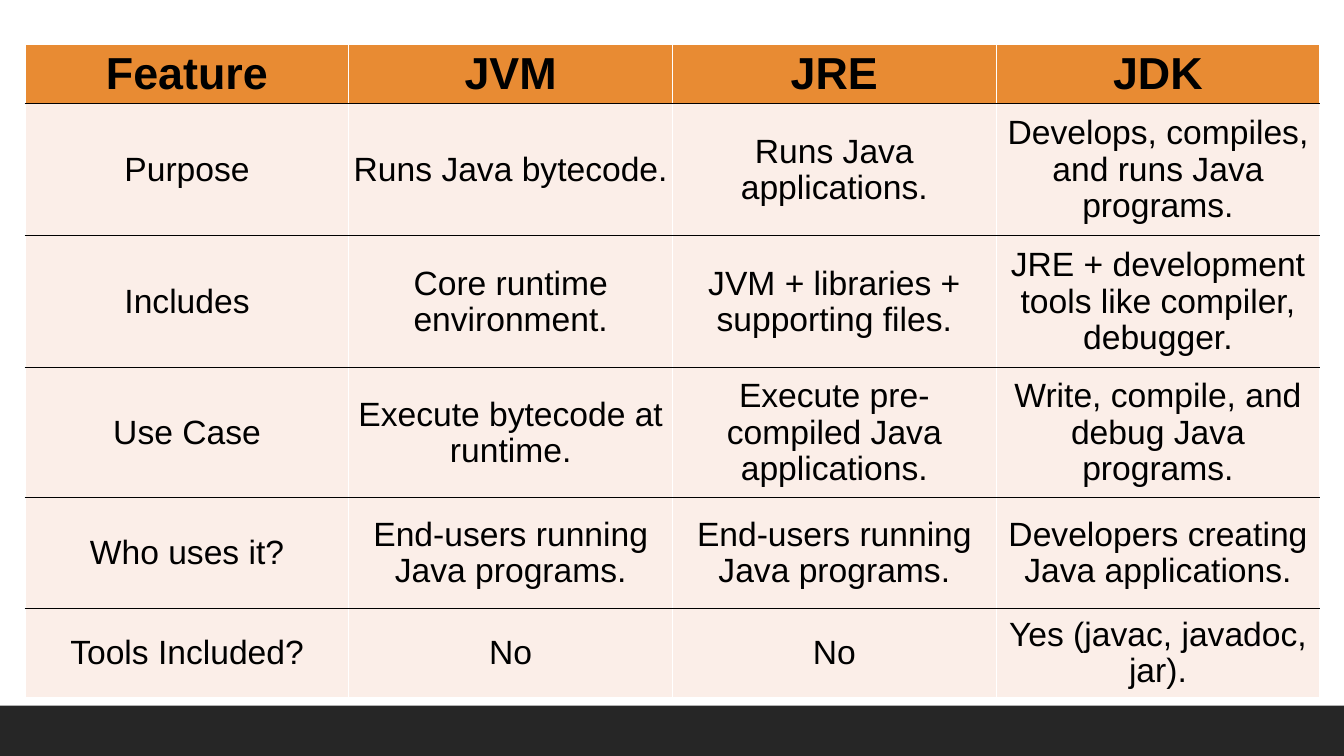
from lxml.etree import SubElement
from pptx import Presentation
from pptx.dml.color import RGBColor
from pptx.enum.shapes import MSO_SHAPE
from pptx.enum.text import MSO_ANCHOR, PP_ALIGN
from pptx.oxml.ns import qn
from pptx.util import Inches, Pt

ORANGE, CREAM, DARK = "E88B33", "FBEEE8", "262626"
BLACK, WHITE = "000000", "FFFFFF"

ROWS = [
    ["Feature", "JVM", "JRE", "JDK"],
    ["Purpose", "Runs Java bytecode.", "Runs Java applications.",
     "Develops, compiles, and runs Java programs."],
    ["Includes", "Core runtime environment.", "JVM + libraries + supporting files.",
     "JRE + development tools like compiler, debugger."],
    ["Use Case", "Execute bytecode at runtime.", "Execute pre-compiled Java applications.",
     "Write, compile, and debug Java programs."],
    ["Who uses it?", "End-users running Java programs.", "End-users running Java programs.",
     "Developers creating Java applications."],
    ["Tools Included?", "No", "No", "Yes (javac, javadoc, jar)."],
]
ROW_HEIGHTS = [0.59, 1.31, 1.31, 1.29, 1.1, 0.88]
COL_WIDTH = 3.21


def set_fill(fill, color):
    fill.solid()
    fill.fore_color.rgb = RGBColor.from_string(color)


def set_borders(cell, **colors):
    """Draw 1 pt borders; sides are L, R, T, B in that order, before the fill."""
    tcPr = cell._tc.get_or_add_tcPr()
    for side, color in colors.items():
        ln = SubElement(tcPr, qn(f"a:ln{side}"), w=str(Pt(1)))
        SubElement(SubElement(ln, qn("a:solidFill")), qn("a:srgbClr"), val=color)


prs = Presentation()
prs.slide_width, prs.slide_height = Inches(13.33), Inches(7.5)
s = prs.slides.add_slide(prs.slide_layouts[6])

bar = s.shapes.add_shape(MSO_SHAPE.RECTANGLE, 0, Inches(7), prs.slide_width, Inches(0.5))
bar.shadow.inherit = False
set_fill(bar.fill, DARK)
bar.line.fill.background()

table = s.shapes.add_table(
    len(ROWS), len(ROWS[0]), Inches(0.25), Inches(0.44),
    Inches(COL_WIDTH * len(ROWS[0])), Inches(sum(ROW_HEIGHTS))).table
table.horz_banding = False
for col in table.columns:
    col.width = Inches(COL_WIDTH)

last = len(ROWS) - 1
for i, (texts, height) in enumerate(zip(ROWS, ROW_HEIGHTS)):
    table.rows[i].height = Inches(height)
    header = i == 0
    for j, text in enumerate(texts):
        cell = table.cell(i, j)
        cell.vertical_anchor = MSO_ANCHOR.MIDDLE
        cell.margin_left = cell.margin_right = cell.margin_top = Inches(0.01)
        cell.margin_bottom = 0
        set_borders(cell, L=WHITE, R=WHITE, T=WHITE if header else BLACK,
                    B=WHITE if i == last else BLACK)
        set_fill(cell.fill, ORANGE if header else CREAM)
        cell.text = text
        p = cell.text_frame.paragraphs[0]
        p.alignment = PP_ALIGN.CENTER
        p.line_spacing = 0.97
        p.font.name = "Arial"
        p.font.size = Pt(32 if header else 24)
        p.font.bold = header
        p.font.color.rgb = RGBColor.from_string(BLACK)

prs.save("out.pptx")
